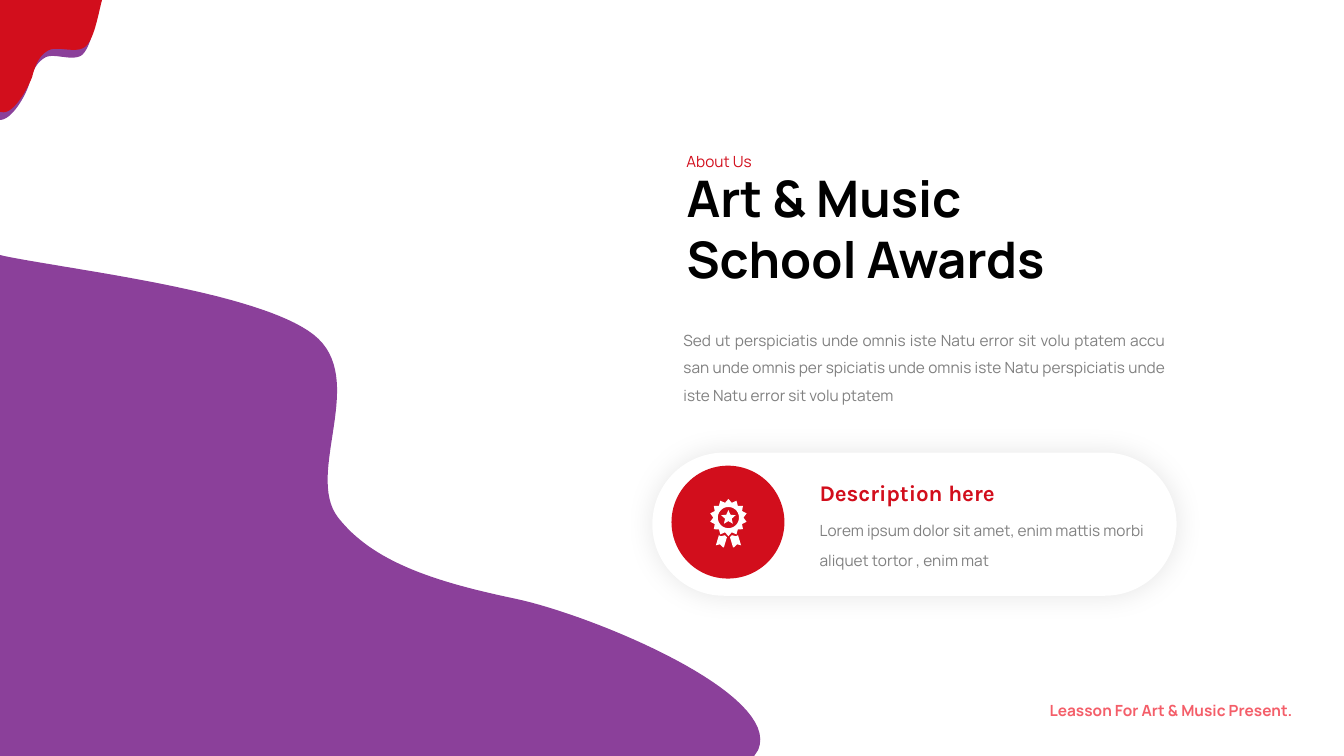
import math
from dataclasses import dataclass

import pptx
import pptx.dml.color
import pptx.enum.shapes
import pptx.enum.text
import pptx.oxml
import pptx.oxml.ns
import pptx.util
from pptx.util import Inches

RGBColor = pptx.dml.color.RGBColor
ALIGN = pptx.enum.text.PP_ALIGN
PRESET = pptx.enum.shapes.MSO_SHAPE

RED = RGBColor(0xD2, 0x0E, 0x1C)
PURPLE = RGBColor(0x8B, 0x40, 0x9A)
PINK = RGBColor(0xF4, 0x5E, 0x69)
GRAY = RGBColor(0x80, 0x80, 0x80)
BLACK = RGBColor(0, 0, 0)
WHITE = RGBColor(0xFF, 0xFF, 0xFF)

Point = tuple[float, float]
Box = tuple[float, float, float, float]


@dataclass
class Blob:
    """Steps of two numbers are corners; steps of six are Bezier curves."""
    color: RGBColor
    steps: list[tuple[float, ...]]


@dataclass
class Label:
    text: str
    box: Box
    style: dict


WAVE = Blob(PURPLE, [
    (7.48, 7.5), (0, 7.5), (0, 2.53), (0.04, 2.54),
    (0.72, 2.68, 2.56, 2.89, 3.11, 3.32),
    (3.66, 3.75, 3.02, 4.69, 3.35, 5.13),
    (3.69, 5.57, 4.3, 5.77, 5.11, 5.94),
    (5.87, 6.1, 7.76, 6.88, 7.52, 7.44)])
DRIPS = [
    Blob(PURPLE, [
        (0, 0.08), (0.98, 0.08),
        (0.95, 0.18, 0.91, 0.45, 0.82, 0.54),
        (0.73, 0.62, 0.54, 0.52, 0.45, 0.57),
        (0.36, 0.62, 0.32, 0.71, 0.29, 0.83),
        (0.26, 0.94, 0.12, 1.19, 0, 1.19)]),
    Blob(RED, [
        (0, 1.11), (0, 0), (1.01, 0), (1.01, 0.01),
        (0.98, 0.11, 0.94, 0.38, 0.85, 0.46),
        (0.76, 0.54, 0.57, 0.45, 0.48, 0.5),
        (0.39, 0.55, 0.35, 0.64, 0.32, 0.76),
        (0.28, 0.87, 0.13, 1.15, 0.01, 1.11)]),
]
LABELS = [
    Label("Sed ut perspiciatis unde omnis iste Natu error sit volu ptatem accu "
          "san unde omnis per spiciatis unde omnis iste Natu perspiciatis unde "
          "iste Natu error sit volu ptatem", (6.68, 3.14, 4.98, 0.91),
          dict(align=ALIGN.JUSTIFY, gap=1.5)),
    Label("Leasson For Art & Music Present.", (9.17, 6.81, 3.75, 0.35),
          dict(align=ALIGN.RIGHT, gap=1.5, color=PINK, bold=True)),
    Label("About Us", (6.71, 1.37, 1.68, 0.35),
          dict(align=ALIGN.JUSTIFY, gap=1.5, color=RED)),
    Label("Lorem ipsum dolor sit amet, enim mattis morbi aliquet tortor , enim mat",
          (8.13, 5.02, 3.36, 0.66), dict(gap=pptx.util.Pt(20.8), inset=0)),
    Label("Description here", (8.03, 4.7, 2.83, 0.37),
          dict(size=16, font="Karla", color=RED, bold=True)),
]
HUB = (7.225, 5.135)
TAIL = [(7.32, 5.31), (7.35, 5.41), (7.31, 5.4), (7.28, 5.43), (7.27, 5.43),
        (7.24, 5.33), (7.26, 5.31), (7.3, 5.32)]


def write(frame, text: str, *, size: float = 11, font: str = "Manrope",
          color: RGBColor = GRAY, bold: bool = False, align=ALIGN.LEFT,
          gap=None, inset: float = 0.1) -> None:
    frame.word_wrap = True
    frame.auto_size = pptx.enum.text.MSO_AUTO_SIZE.SHAPE_TO_FIT_TEXT
    frame.vertical_anchor = pptx.enum.text.MSO_ANCHOR.TOP
    frame.margin_left = Inches(inset)
    para = frame.paragraphs[0]
    para.alignment = align
    para.line_spacing = gap
    run = para.add_run()
    run.text = text
    run.font.size = pptx.util.Pt(size)
    run.font.name = font
    run.font.bold = bold
    run.font.color.rgb = color


def paint(shape, color: RGBColor) -> None:
    shape.fill.solid()
    shape.fill.fore_color.rgb = color
    shape.line.fill.background()
    shape.shadow.inherit = False


def trace(steps: list[tuple[float, ...]], count: int = 32) -> list[Point]:
    """Turn corners and Bezier curves into a list of points."""
    points: list[Point] = []
    for step in steps:
        if len(step) == 2:
            points.append(step)
            continue
        knots = [points[-1], step[:2], step[2:4], step[4:]]
        for i in range(1, count + 1):
            t = i / count
            parts = [math.comb(3, k) * t**k * (1 - t)**(3 - k) for k in range(4)]
            points.append(tuple(sum(p * knot[axis] for p, knot in zip(parts, knots))
                                for axis in (0, 1)))
    return points


def ring(count: int, *radii: float) -> list[Point]:
    """Points around the hub from the top, taking the radii in turn."""
    total = count * len(radii)
    turns = [2 * math.pi * i / total for i in range(total)]
    return [(HUB[0] + radii[i % len(radii)] * math.sin(turn),
             HUB[1] - radii[i % len(radii)] * math.cos(turn))
            for i, turn in enumerate(turns)]


def outline(shapes, color: RGBColor, *loops: list[Point]) -> None:
    pen = None
    for loop in loops:
        first, *rest = [(Inches(x), Inches(y)) for x, y in loop]
        if pen is None:
            pen = shapes.build_freeform(*first)
        else:
            pen.move_to(*first)
        pen.add_line_segments(rest, close=True)
    paint(pen.convert_to_shape(), color)


def preset(shapes, kind, box: Box, color: RGBColor):
    shape = shapes.add_shape(kind, *map(Inches, box))
    paint(shape, color)
    return shape


def glow(shape) -> None:
    """Give the shape a soft, even shadow."""
    effect = shape._element.spPr.find(pptx.oxml.ns.qn("a:effectLst"))
    effect.append(pptx.oxml.parse_xml(
        f'<a:outerShdw {pptx.oxml.ns.nsdecls("a")} blurRad="254000" dist="0" '
        'algn="ctr" rotWithShape="0"><a:srgbClr val="000000">'
        '<a:alpha val="10000"/></a:srgbClr></a:outerShdw>'))


def badge(shapes) -> None:
    outline(shapes, WHITE, ring(14, 0.185, 0.15), ring(36, 0.105)[::-1])
    outline(shapes, WHITE, TAIL)
    outline(shapes, WHITE, [(2 * HUB[0] - x, y) for x, y in TAIL])
    outline(shapes, WHITE, ring(5, 0.075, 0.035))


def main() -> None:
    deck = pptx.Presentation()
    deck.slide_width, deck.slide_height = Inches(13.33), Inches(7.5)
    slide = deck.slides.add_slide(deck.slide_layouts[5])
    shapes = slide.shapes

    title = shapes.title
    title.left, title.top, title.width, title.height = map(
        Inches, (6.71, 1.61, 4.14, 1.31))
    write(title.text_frame, "Art & Music School Awards",
          size=36, color=BLACK, bold=True)

    for blob in [WAVE, *DRIPS]:
        outline(shapes, blob.color, trace(blob.steps))
    card = preset(shapes, PRESET.ROUNDED_RECTANGLE, (6.47, 4.49, 5.2, 1.42), WHITE)
    card.adjustments[0] = 0.5
    glow(card)
    preset(shapes, PRESET.OVAL, (6.66, 4.62, 1.12, 1.12), RED)
    for label in LABELS:
        area = shapes.add_textbox(*map(Inches, label.box))
        write(area.text_frame, label.text, **label.style)
    badge(shapes)
    deck.save("out.pptx")


if __name__ == "__main__":
    main()
